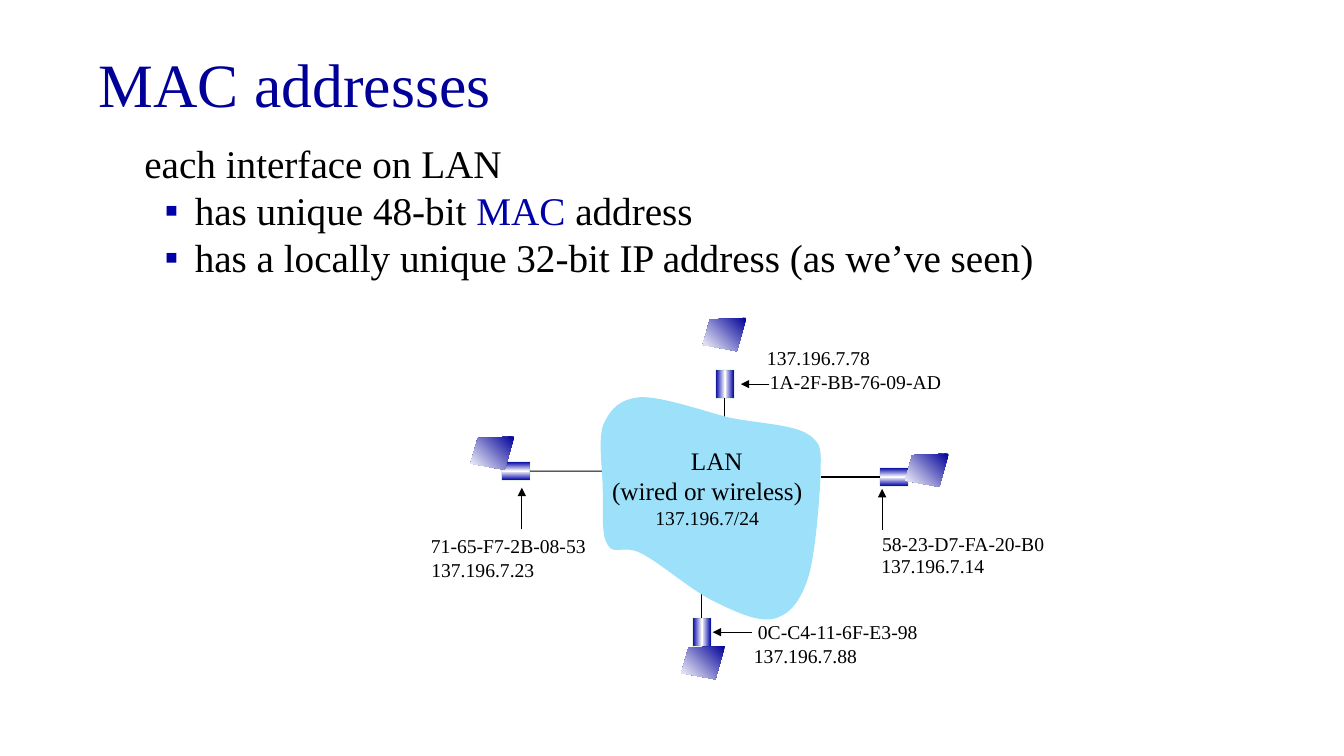
from pptx import Presentation, util as u
from pptx.dml.color import RGBColor
from pptx.enum import shapes as sh, text as tx
from pptx.oxml import parse_xml
from pptx.oxml.ns import nsdecls, qn
from lxml import etree

Cm, Pt = u.Cm, u.Pt
FONT = "Times New Roman"
HUES = {"title": "000099", "blue": "0000A8", "ink": "000000", "cloud": "9CE0FA",
        "white": "FFFFFF", "rim": "008000"}

TITLE = "MAC addresses"
# Each line is a list of (text, hue) pieces
BODY = [
    [("each interface on LAN", "ink")],
    [("has unique 48-bit ", "ink"), ("MAC", "blue"), (" address", "ink")],
    [("has a locally unique 32-bit IP address (as we’ve seen)", "ink")],
]
LAN = [("LAN", 18), ("(wired or wireless)", 18), ("137.196.7/24", 14)]

# Lengths in cm; side is where the wire leaves the adapter, far is where it stops
NODES = [
    dict(mid=(18.27, 9.68), side=2, far=11.13, host=(17.71, 8.01),
         arrow=(19.38, 9.68, 18.67, 9.68),
         mac=("1A-2F-BB-76-09-AD", 19.15, 9.19), ip=("137.196.7.78", 19.08, 8.59)),
    dict(mid=(13.0, 11.87), side=3, far=15.82, host=(11.86, 11.0),
         arrow=(13.15, 13.34, 13.15, 12.29),
         mac=("71-65-F7-2B-08-53", 10.61, 13.34), ip=("137.196.7.23", 10.62, 13.94)),
    dict(mid=(22.53, 12.02), side=1, far=20.68, host=(22.81, 11.43),
         arrow=(22.23, 13.36, 22.23, 12.32),
         mac=("58-23-D7-FA-20-B0", 21.98, 13.28), ip=("137.196.7.14", 21.96, 13.83)),
    dict(mid=(17.69, 15.93), side=0, far=14.71, host=(17.17, 16.28),
         arrow=(18.95, 15.93, 17.96, 15.93),
         mac=("0C-C4-11-6F-E3-98", 18.85, 15.49), ip=("137.196.7.88", 18.75, 16.1)),
]
SHORT, LONG = 0.46, 0.71
HOST = [(1.1, 0), (0.18, 0.04), (0, 0.68), (0.86, 0.84)]
# Cloud outline: a start, then two handles and an end for each curve
START = (16.13, 10.01)
CURVES = [
    ((15.6, 10.06), (15.39, 10.31), (15.21, 10.69)),
    ((15.06, 11.07), (15.19, 11.84), (15.19, 12.34)),
    ((15.21, 12.85), (15.14, 13.49), (15.32, 13.74)),
    ((15.47, 14.0), (15.72, 13.72), (16.15, 13.94)),
    ((16.59, 14.15), (17.37, 14.83), (17.91, 15.11)),
    ((18.47, 15.39), (19.05, 15.67), (19.46, 15.6)),
    ((19.86, 15.52), (20.14, 15.21), (20.35, 14.61)),
    ((20.55, 14.02), (20.65, 12.62), (20.68, 11.99)),
    ((20.68, 11.38), (20.75, 11.2), (20.37, 10.95)),
    ((19.99, 10.69), (19.08, 10.67), (18.36, 10.52)),
    ((17.68, 10.34), (16.64, 9.98), START),
]

prs = Presentation()
prs.slide_width, prs.slide_height = Cm(33.87), Cm(19.05)
slide = prs.slides.add_slide(prs.slide_layouts[6])
items = slide.shapes


def rgb(hue):
    return RGBColor.from_string(HUES[hue])


def style(run, size, hue="ink"):
    run.font.name, run.font.size = FONT, Pt(size)
    run.font.color.rgb = rgb(hue)


def box(x, y, w, h):
    frame = items.add_textbox(Cm(x), Cm(y), Cm(w), Cm(h)).text_frame
    frame.word_wrap = True
    return frame


def label(text, x, y, w, h, size, hue="ink"):
    frame = box(x, y, w, h)
    frame.text = text
    style(frame.paragraphs[0].runs[0], size, hue)
    return frame


def line(x1, y1, x2, y2, head=False):
    link = items.add_connector(sh.MSO_CONNECTOR.STRAIGHT, Cm(x1), Cm(y1), Cm(x2), Cm(y2))
    link.line.color.rgb, link.line.width = rgb("ink"), Pt(0.75)
    if head:
        etree.SubElement(link.line._get_or_add_ln(), qn("a:tailEnd"), type="triangle")
    link._element.spPr.append(parse_xml(f"<a:effectLst {nsdecls('a')}/>"))
    return link


def blend(shape, stops, angle):
    marks = "".join(f'<a:gs pos="{pos * 1000}"><a:srgbClr val="{HUES[hue]}"/></a:gs>'
                    for pos, hue in stops)
    shape._element.spPr.insert(2, parse_xml(
        f'<a:gradFill {nsdecls("a")}><a:gsLst>{marks}</a:gsLst>'
        f'<a:lin ang="{angle * 60000}" scaled="0"/></a:gradFill>'))


def outline(points):
    spots = [(Cm(x), Cm(y)) for x, y in points]
    pen = items.build_freeform(*spots[0])
    pen.add_line_segments(spots[1:], close=True)
    shape = pen.convert_to_shape()
    shape.shadow.inherit = False
    shape.line.fill.background()
    return shape


def curve(shape):
    """Turn every three straight segments into one Bezier curve."""
    legs = list(shape._element.iter(qn("a:lnTo")))
    for k in range(0, len(legs), 3):
        arc = etree.Element(qn("a:cubicBezTo"))
        legs[k].addprevious(arc)
        for leg in legs[k:k + 3]:
            arc.append(leg[0])
            leg.getparent().remove(leg)


# Title
frame = label(TITLE, 2.24, 0.97, 29.21, 2.49, 44, "title")
frame.vertical_anchor = tx.MSO_ANCHOR.MIDDLE
frame.paragraphs[0].line_spacing = 0.9

# Bullets
frame = box(3.39, 3.39, 23.14, 3.84)
for i, parts in enumerate(BODY):
    para = frame.paragraphs[0] if i == 0 else frame.add_paragraph()
    if i:
        ppr = para._p.get_or_add_pPr()
        ppr.set("marL", str(Cm(1.27)))
        ppr.set("indent", str(Cm(-0.76)))
        for tag in (f'buClr {nsdecls("a")}><a:srgbClr val="{HUES["blue"]}"/></a:buClr',
                    f'buFont {nsdecls("a")} typeface="{FONT}"/',
                    f'buChar {nsdecls("a")} char="▪"/'):
            ppr.append(parse_xml(f"<a:{tag}>"))
    for words, hue in parts:
        run = para.add_run()
        run.text = words
        style(run, 28, hue)

# Adapters and their wires
for node in NODES:
    x, y = node["mid"]
    upright = node["side"] in (0, 2)
    w, h = (SHORT, LONG) if upright else (LONG, SHORT)
    card = items.add_shape(sh.MSO_SHAPE.RECTANGLE, Cm(x - w / 2), Cm(y - h / 2), Cm(w), Cm(h))
    card.shadow.inherit = False
    blend(card, [(0, "blue"), (50, "white"), (100, "blue")], 0 if upright else 90)
    card.line.color.rgb, card.line.width = rgb("rim"), Pt(0.75)
    tint = card.line._get_or_add_ln().find(".//" + qn("a:srgbClr"))
    tint.append(parse_xml(f'<a:alpha {nsdecls("a")} val="15000"/>'))
    end = (x, node["far"]) if upright else (node["far"], y)
    line(x, y, *end).begin_connect(card, node["side"])

# LAN cloud
cloud = outline([START] + [point for trio in CURVES for point in trio])
curve(cloud)
cloud.fill.solid()
cloud.fill.fore_color.rgb = rgb("cloud")

frame = box(14.8, 11.1, 6.05, 2.39)
for i, (words, size) in enumerate(LAN):
    para = frame.paragraphs[0] if i == 0 else frame.add_paragraph()
    para.text, para.alignment = words, tx.PP_ALIGN.CENTER
    style(para.runs[0], size)
frame.paragraphs[0]._p.get_or_add_pPr().set("marL", str(Cm(0.48)))

# Hosts, arrows and addresses
for node in NODES:
    left, top = node["host"]
    host = outline([(left + x, top + y) for x, y in HOST])
    blend(host, [(0, "title"), (100, "white")], 135)
    line(*node["arrow"], head=True)
    label(*node["mac"], 4.9, 0.84, 14)
    label(*node["ip"], 3.38, 0.84, 14)

prs.save("out.pptx")
